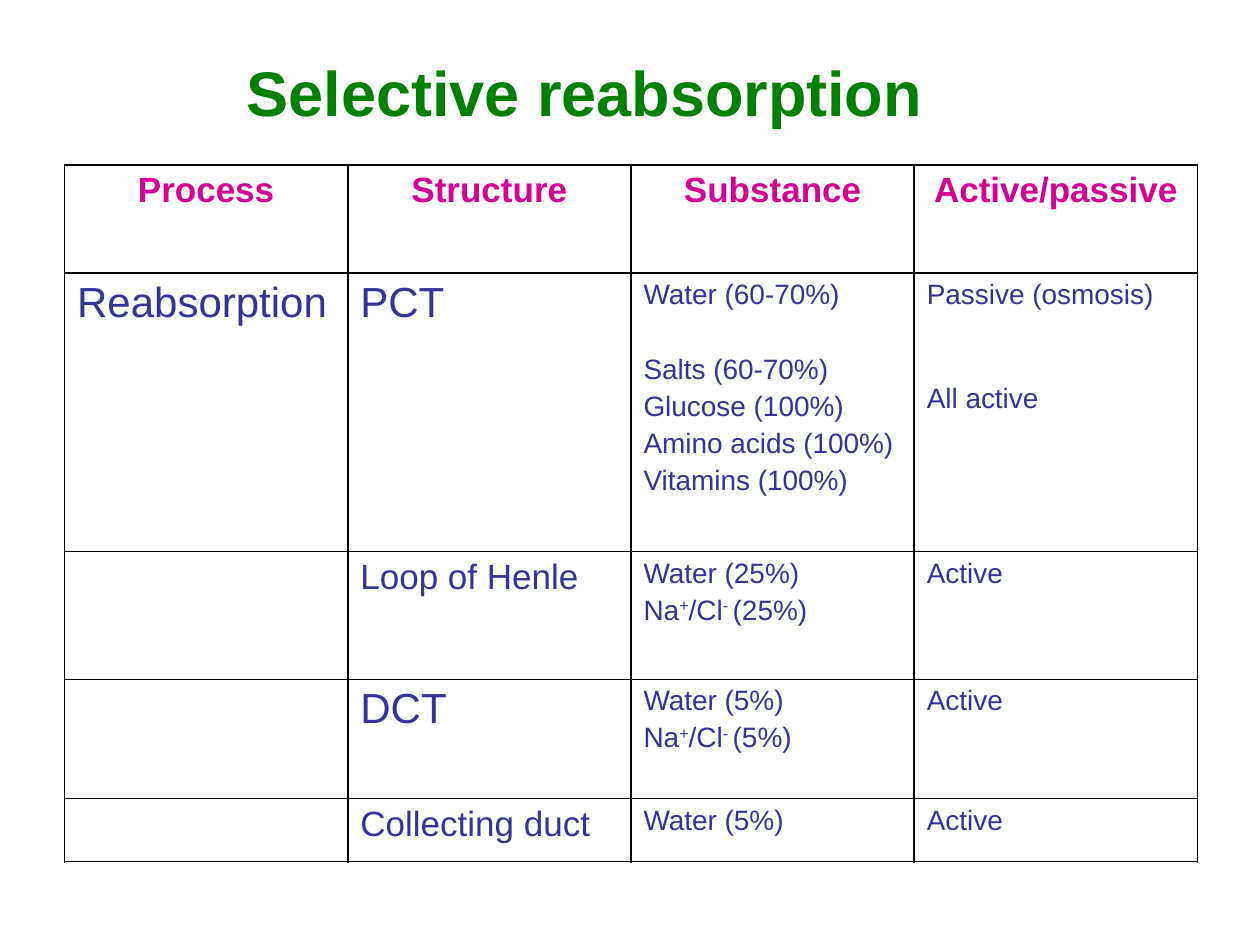
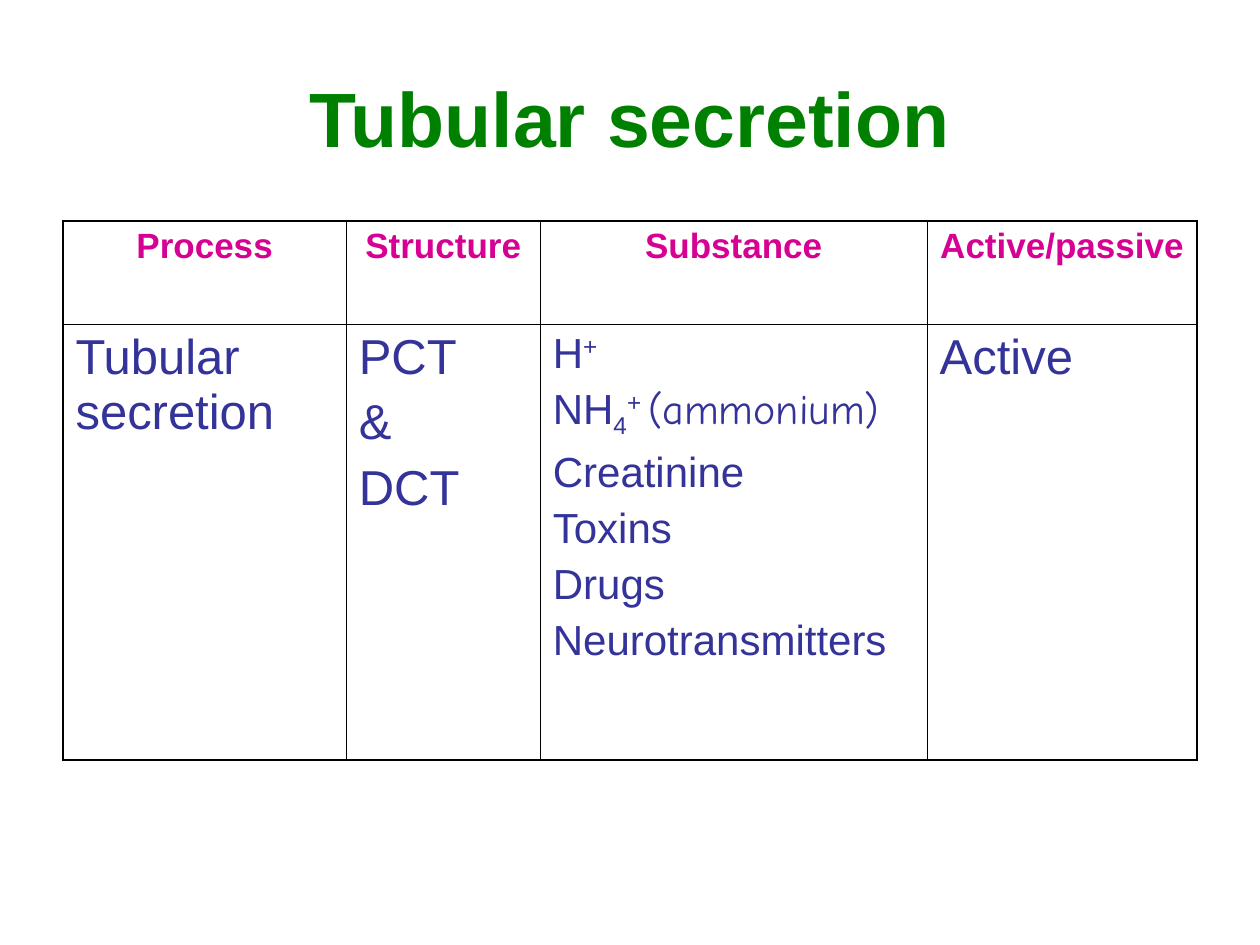
from dataclasses import dataclass

from lxml import etree
from pptx import Presentation
from pptx.dml.color import RGBColor
from pptx.enum.text import MSO_ANCHOR as Anchor, PP_ALIGN as Align
from pptx.oxml.ns import qn
from pptx.util import Cm, Pt

COLOURS = {"title": "008000", "header": "D60093", "body": "333399", "rule": "000000"}
FONT = "Arial"
THICK, THIN, NO_RULE = 1.08, 0.45, 0
GAP_RATIO = 0.22  # space between paragraphs, as a share of the text size
SUPER, SUB = 30000, -25000
HEADERS = ["Process", "Structure", "Substance", "Active/passive"]


@dataclass
class Piece:
    text: str
    baseline: int = 0
    font: str = FONT


@dataclass
class Line:
    pieces: list
    gap: float = None


@dataclass
class Entry:
    """Text of one table cell; each line is a string or a Line."""
    size: int
    lines: list


class Deck:
    def __init__(self):
        self.prs = Presentation()
        self.prs.slide_width, self.prs.slide_height = Cm(25.4), Cm(19.05)
        self.slide = None

    def new_slide(self):
        self.slide = self.prs.slides.add_slide(self.prs.slide_layouts[6])

    def fill_text(self, frame, lines, size, colour, bold=False, align=Align.LEFT):
        for index, line in enumerate(lines):
            if isinstance(line, str):
                line = Line([Piece(line)])
            paragraph = frame.paragraphs[0] if index == 0 else frame.add_paragraph()
            paragraph.alignment = align
            gap = size * GAP_RATIO if line.gap is None else line.gap
            paragraph.space_before = Pt(gap if index else 0)
            for piece in line.pieces:
                run = paragraph.add_run()
                run.text = piece.text
                style = {"name": piece.font, "size": Pt(size), "bold": bold}
                for key, value in style.items():
                    setattr(run.font, key, value)
                run.font.color.rgb = RGBColor.from_string(COLOURS[colour])
                if piece.baseline:
                    run._r.get_or_add_rPr().set("baseline", str(piece.baseline))

    def title(self, text, size, width, height):
        box = self.slide.shapes.add_textbox(Cm(1.27), Cm(0.76), Cm(width), Cm(height))
        frame = box.text_frame
        frame.word_wrap = True
        frame.vertical_anchor = Anchor.MIDDLE
        self.fill_text(frame, [text], size, "title", True, Align.CENTER)

    def rule(self, cell, side, weight):
        """Draw one side (L, R, T or B) of a cell."""
        line = etree.SubElement(cell._tc.get_or_add_tcPr(), qn(f"a:ln{side}"))
        line.set("w", str(int(Pt(weight))))
        if weight == NO_RULE:
            etree.SubElement(line, qn("a:noFill"))
            return
        fill = etree.SubElement(line, qn("a:solidFill"))
        etree.SubElement(fill, qn("a:srgbClr")).set("val", COLOURS["rule"])

    def table(self, left, top, widths, heights, body, column_rules, row_rules, merges=()):
        """Rules are weights from left to right; a row rule may list one per column."""
        table = self.slide.shapes.add_table(
            len(heights), len(widths), Cm(left), Cm(top),
            Cm(sum(widths)), Cm(sum(heights))).table
        table.first_row = table.horz_banding = False
        for column, width in zip(table.columns, widths):
            column.width = Cm(width)
        for row, height in zip(table.rows, heights):
            row.height = Cm(height)
        for first, last in merges:
            table.cell(*first).merge(table.cell(*last))

        for r in range(len(heights)):
            for c in range(len(widths)):
                cell = table.cell(r, c)
                above, below = (rule[c] if isinstance(rule, list) else rule
                                for rule in row_rules[r:r + 2])
                weights = {"L": column_rules[c], "R": column_rules[c + 1],
                           "T": above, "B": below}
                for side, weight in weights.items():
                    self.rule(cell, side, weight)
                cell.fill.background()
                if r == 0:
                    self.fill_text(cell.text_frame, [HEADERS[c]], 20, "header", True,
                                   Align.CENTER)
                elif (r, c) in body:
                    entry = body[r, c]
                    self.fill_text(cell.text_frame, entry.lines, entry.size, "body")


def salt(share):
    return Line([Piece("Na"), Piece("+", SUPER), Piece("/Cl"),
                 Piece("- ", SUPER), Piece(f"({share})")])


def reabsorption_slide(deck):
    deck.new_slide()
    deck.title("Selective reabsorption", 36, 21.03, 2.16)
    body = {
        (1, 0): Entry(24, ["Reabsorption"]),
        (1, 1): Entry(24, ["PCT"]),
        (1, 2): Entry(16, ["Water (60-70%)", Line([Piece("Salts (60-70%)")], 25),
                           "Glucose (100%)", "Amino acids (100%)", "Vitamins (100%)"]),
        (1, 3): Entry(16, ["Passive (osmosis)", Line([Piece("All active")], 41.6)]),
        (3, 1): Entry(20, ["Loop of Henle"]),
        (3, 2): Entry(16, ["Water (25%)", salt("25%")]),
        (4, 1): Entry(24, ["DCT"]),
        (4, 2): Entry(16, ["Water (5%)", salt("5%")]),
        (5, 1): Entry(20, ["Collecting duct"]),
        (5, 2): Entry(16, ["Water (5%)"]),
    }
    body.update({(row, 3): Entry(16, ["Active"]) for row in (3, 4, 5)})
    deck.table(1.3, 3.32, [5.71] * 4, [2.18, 2.39, 3.23, 2.57, 2.41, 1.27], body,
               column_rules=[THICK] * 5,
               row_rules=[THICK, THICK, NO_RULE, THIN, THIN, THIN, THICK],
               merges=[((1, column), (2, column)) for column in (2, 3)])


def secretion_slide(deck):
    deck.new_slide()
    deck.title("Tubular secretion", 44, 22.86, 3.18)
    ammonium = Line([Piece("NH"), Piece("4", SUB), Piece("+ ", SUPER),
                     Piece("(ammonium)", font="Comic Neue")])
    body = {
        (1, 0): Entry(28, ["Tubular secretion"]),
        (1, 1): Entry(28, ["PCT", "&", "DCT"]),
        (1, 2): Entry(24, [Line([Piece("H"), Piece("+", SUPER)]), ammonium,
                           "Creatinine", "Toxins", "Drugs", "Neurotransmitters"]),
        (1, 3): Entry(28, ["Active"]),
    }
    deck.table(1.27, 4.45, [5.71, 3.91, 7.8, 5.44], [2.08, 8.79], body,
               column_rules=[THICK, THIN, THIN, THIN, THICK],
               row_rules=[THICK, THIN, THICK])


def main():
    deck = Deck()
    reabsorption_slide(deck)
    secretion_slide(deck)
    deck.prs.save("out.pptx")


if __name__ == "__main__":
    main()
